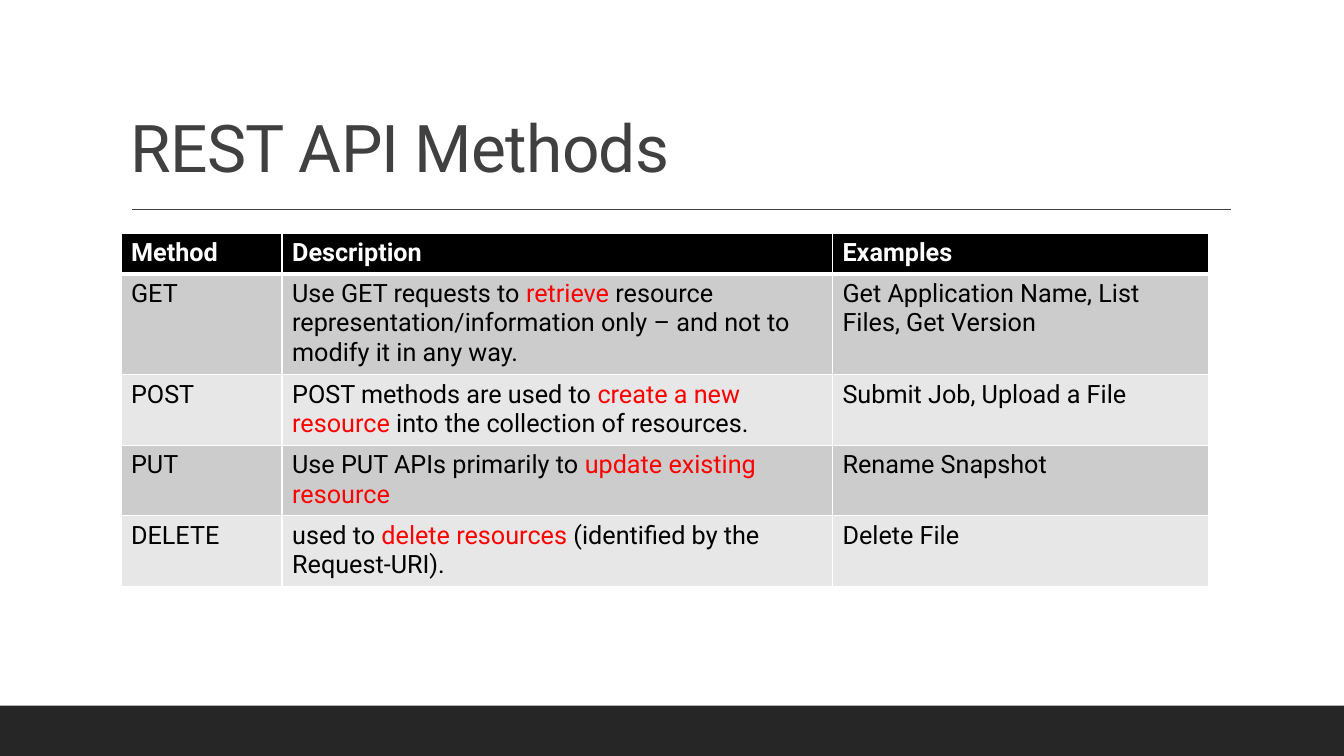
"""Build a slide with a table of REST API methods."""
from lxml import etree
from pptx import Presentation
from pptx.dml.color import RGBColor
from pptx.enum.shapes import MSO_CONNECTOR, MSO_SHAPE
from pptx.enum.text import MSO_ANCHOR
from pptx.oxml.ns import qn
from pptx.util import Cm, Pt

RECT, STRAIGHT, BOTTOM = MSO_SHAPE.RECTANGLE, MSO_CONNECTOR.STRAIGHT, MSO_ANCHOR.BOTTOM

TITLE = "REST API Methods"
HEADER = ("Method", "Description", "Examples")
# Text between bars is highlighted.
METHODS = [
    ("GET",
     "Use GET requests to |retrieve| resource representation/information only – "
     "and not to modify it in any way.",
     "Get Application Name, List Files, Get Version"),
    ("POST",
     "POST methods are used to |create a new resource |into the collection of resources.",
     "Submit Job, Upload a File"),
    ("PUT", "Use PUT APIs primarily to |update existing resource", "Rename Snapshot"),
    ("DELETE", "used to |delete resources |(identified by the Request-URI).", "Delete File"),
]
COLORS = {
    "footer": "262626", "title": "404040", "header": "000000", "header_text": "FFFFFF",
    "odd": "CCCCCC", "even": "E7E7E7", "text": "000000", "highlight": "FF0000",
    "border": "FFFFFF",
}
FONT = "Roboto"
SLIDE_W, SLIDE_H = Cm(33.87), Cm(19.05)
FOOTER_H = Cm(1.27)
LEFT = Cm(3.05)
RULE_X1, RULE_X2, RULE_Y = Cm(3.33), Cm(31.01), Cm(5.28)
TABLE_TOP, ROW_H = Cm(5.87), Cm(1.03)
COL_WIDTHS = (Cm(4.06), Cm(13.87), Cm(9.47))


def rgb(name):
    return RGBColor.from_string(COLORS[name])


def add_footer(slide):
    sp = slide.shapes.add_shape(RECT, 0, SLIDE_H - FOOTER_H, SLIDE_W, FOOTER_H)
    sp.shadow.inherit = False
    sp.fill.solid()
    sp.fill.fore_color.rgb = rgb("footer")
    sp.line.fill.background()


def add_rule(slide):
    line = slide.shapes.add_connector(STRAIGHT, RULE_X1, RULE_Y, RULE_X2, RULE_Y)
    line.line.color.rgb = rgb("title")
    line.line.width = Pt(1)
    etree.SubElement(line._element.spPr, qn("a:effectLst"))


def add_title(slide):
    tf = slide.shapes.add_textbox(LEFT, Cm(0.79), Cm(27.94), Cm(4.04)).text_frame
    tf.word_wrap = True
    tf.vertical_anchor = BOTTOM
    p = tf.paragraphs[0]
    r = p.add_run()
    r.text = TITLE
    r._r.get_or_add_rPr().set("spc", "-50")
    p.line_spacing = 0.9
    p.font.name, p.font.size = FONT, Pt(47)
    p.font.color.rgb = rgb("title")


def set_borders(cell, top, bottom):
    tc_pr = cell._tc.get_or_add_tcPr()
    for side, width in (("L", 1), ("R", 1), ("T", top), ("B", bottom)):
        ln = etree.SubElement(tc_pr, qn(f"a:ln{side}"), w=str(Pt(width)))
        fill = etree.SubElement(ln, qn("a:solidFill"))
        etree.SubElement(fill, qn("a:srgbClr"), val=COLORS["border"])


def fill_cell(cell, text, row):
    set_borders(cell, 3 if row == 1 else 1, 3 if row == 0 else 1)
    cell.fill.solid()
    cell.fill.fore_color.rgb = rgb("header" if row == 0 else "odd" if row % 2 else "even")
    p = cell.text_frame.paragraphs[0]
    p.font.name, p.font.size, p.font.bold = FONT, Pt(18), row == 0
    base = "text" if row else "header_text"
    for i, part in enumerate(text.split("|")):
        if part:
            r = p.add_run()
            r.text = part
            r.font.color.rgb = rgb("highlight" if i % 2 else base)


def add_methods_table(slide):
    rows = [HEADER, *METHODS]
    table = slide.shapes.add_table(len(rows), len(HEADER), LEFT, TABLE_TOP,
                                   sum(COL_WIDTHS), ROW_H * len(rows)).table
    for column, width in zip(table.columns, COL_WIDTHS):
        column.width = width
    for i, texts in enumerate(rows):
        for j, text in enumerate(texts):
            fill_cell(table.cell(i, j), text, i)


def main():
    prs = Presentation()
    prs.slide_width, prs.slide_height = SLIDE_W, SLIDE_H
    slide = prs.slides.add_slide(prs.slide_layouts[6])
    add_footer(slide)
    add_rule(slide)
    add_title(slide)
    add_methods_table(slide)
    prs.save("out.pptx")


if __name__ == "__main__":
    main()
